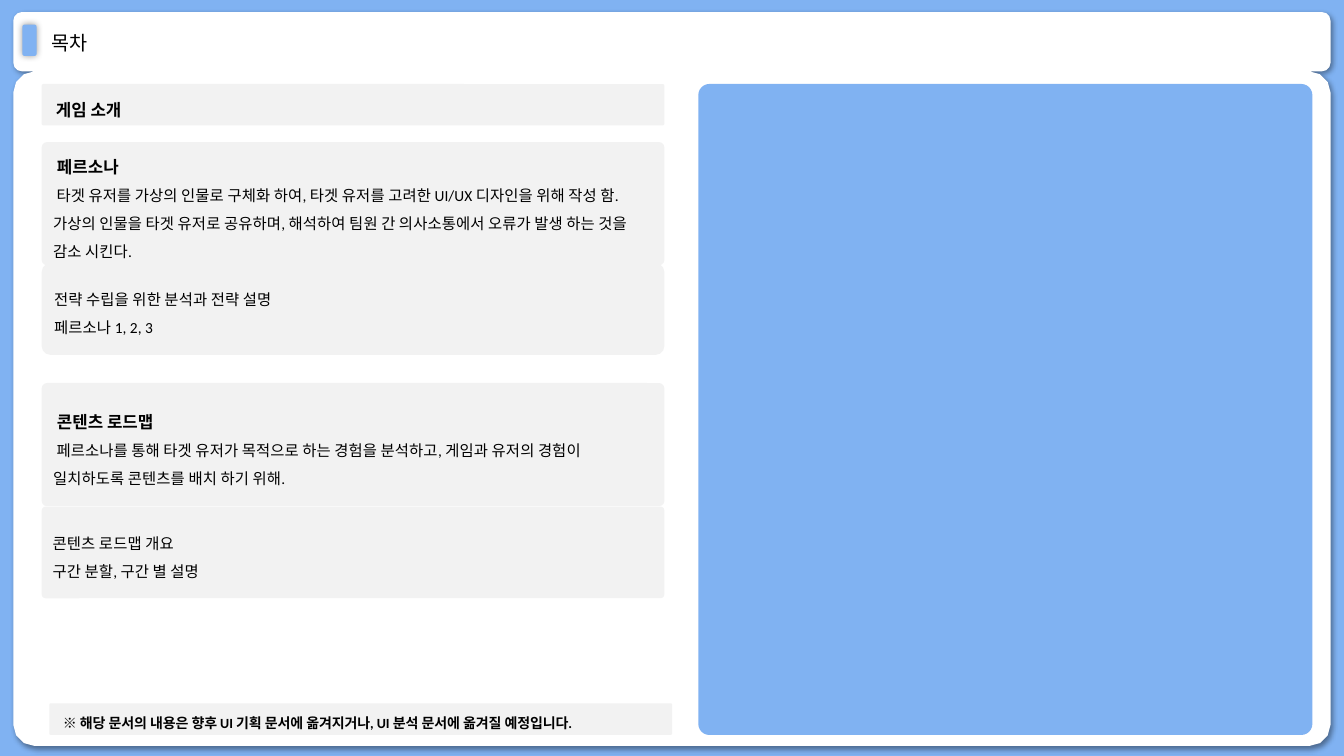
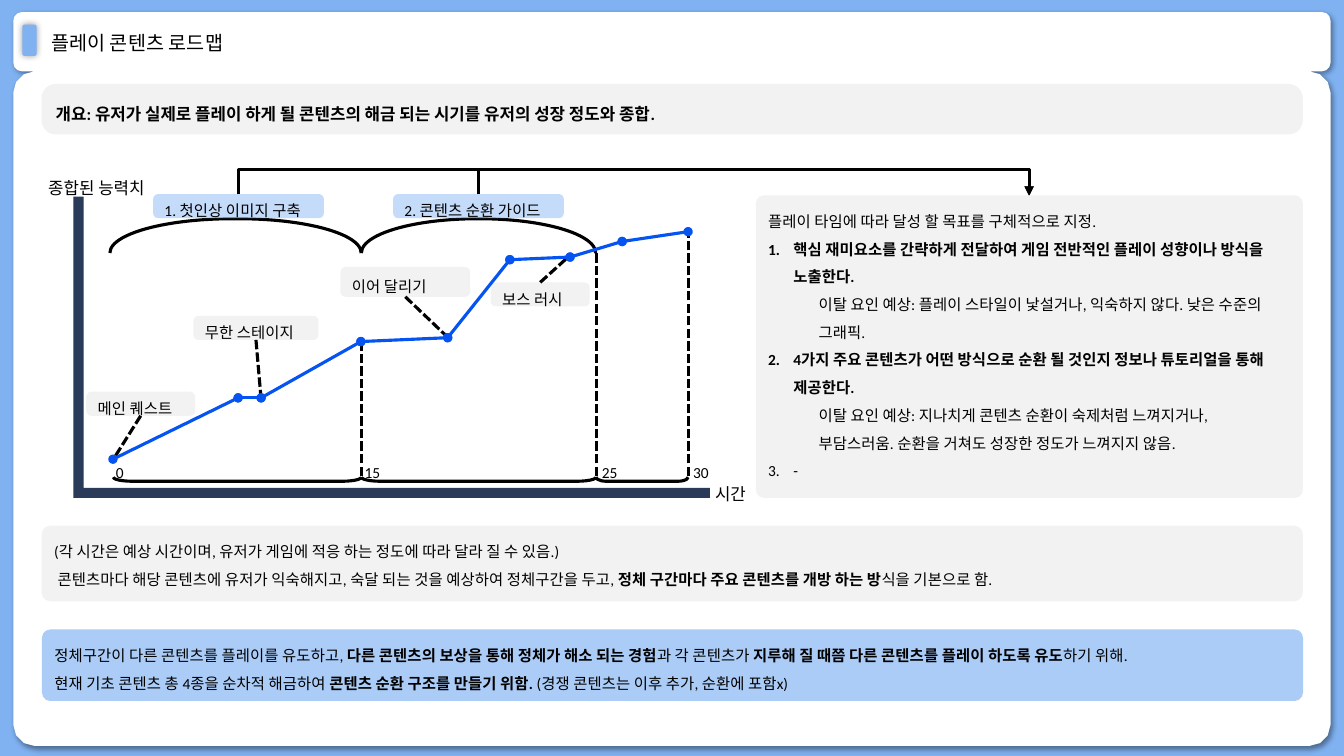
from dataclasses import dataclass
from itertools import pairwise
from math import cos, radians, sin
from typing import Optional

from lxml import etree
from pptx import Presentation
from pptx.dml.color import RGBColor
from pptx.enum.dml import MSO_LINE
from pptx.enum.lang import MSO_LANGUAGE_ID
from pptx.enum.shapes import MSO_CONNECTOR, MSO_SHAPE
from pptx.enum.text import MSO_ANCHOR, PP_ALIGN
from pptx.oxml.ns import qn
from pptx.util import Pt

BLUE = RGBColor(0x80, 0xB2, 0xF2)
PALE_BLUE = RGBColor(0xAB, 0xCC, 0xF7)
CURVE_BLUE = RGBColor(0x05, 0x54, 0xF2)
NAVY = RGBColor(0x2A, 0x3A, 0x59)
GRAY = RGBColor(0xF2, 0xF2, 0xF2)
WHITE = RGBColor(0xFF, 0xFF, 0xFF)
BLACK = RGBColor(0, 0, 0)
FONT = "Calibri"
LINE_WIDTH = 2.25

Box = tuple[float, float, float, float]
Point = tuple[float, float]


@dataclass(frozen=True)
class Para:
    text: str
    size: float = 11
    spacing: Optional[float] = 1.5
    align: PP_ALIGN = PP_ALIGN.LEFT
    numbered: bool = False
    level: int = 0


@dataclass(frozen=True)
class Panel:
    box: Box
    radius: float
    paras: tuple[Para, ...] = ()
    fill: RGBColor = GRAY
    anchor: MSO_ANCHOR = MSO_ANCHOR.MIDDLE
    alpha: Optional[int] = None


@dataclass(frozen=True)
class Callout:
    box: Box
    text: str
    side: int
    target: Point


@dataclass(frozen=True)
class Bracket:
    left: float
    right: float
    top: float
    depth: float
    rotation: int
    curve: float


def write(shape, paras: tuple[Para, ...], anchor: MSO_ANCHOR) -> None:
    tf = shape.text_frame
    tf.word_wrap = True
    tf.vertical_anchor = anchor
    for i, para in enumerate(paras):
        p = tf.add_paragraph() if i else tf.paragraphs[0]
        p.alignment = para.align
        p.level = para.level
        if para.spacing:
            p.line_spacing = para.spacing
        pPr = p._p.get_or_add_pPr()
        if para.level:
            pPr.set("marL", str(Pt(36)))
            pPr.set("marR", str(Pt(9)))
            pPr.set("indent", "0")
        if para.numbered:
            pPr.set("marL", str(Pt(18)))
            pPr.set("indent", str(-Pt(18)))
            etree.SubElement(pPr, qn("a:buAutoNum"), type="arabicPeriod")
        for j, part in enumerate(para.text.split("**")):
            if part:
                r = p.add_run()
                r.text = part
                r.font.name = FONT
                r.font.size = Pt(para.size)
                r.font.bold = j % 2 == 1
                r.font.color.rgb = BLACK
                r.font.language_id = MSO_LANGUAGE_ID.KOREAN
                for tag in ("a:ea", "a:cs"):
                    etree.SubElement(r._r.get_or_add_rPr(), qn(tag), typeface=FONT)


def paint(shape, fill: RGBColor) -> None:
    shape.shadow.inherit = False
    shape.fill.solid()
    shape.fill.fore_color.rgb = fill
    shape.line.fill.background()


def add_shadow(shape, blur: float, dist: float, angle: int) -> None:
    effects = shape._element.spPr.find(qn("a:effectLst"))
    outer = etree.SubElement(effects, qn("a:outerShdw"), blurRad=str(Pt(blur)),
                             dist=str(Pt(dist)), dir=str(angle * 60000), rotWithShape="0")
    color = etree.SubElement(outer, qn("a:srgbClr"), val=str(BLACK))
    etree.SubElement(color, qn("a:alpha"), val="40000")


def add_panel(s, panel: Panel):
    sp = s.shapes.add_shape(MSO_SHAPE.ROUNDED_RECTANGLE, *map(Pt, panel.box))
    sp.adjustments[0] = panel.radius / min(panel.box[2:])
    paint(sp, panel.fill)
    if panel.alpha:
        color = sp._element.spPr.find(qn("a:solidFill"))[0]
        etree.SubElement(color, qn("a:alpha"), val=str(panel.alpha * 1000))
    write(sp, panel.paras, panel.anchor)
    return sp


def add_text(s, box: Box, para: Para) -> None:
    write(s.shapes.add_textbox(*map(Pt, box)), (para,), MSO_ANCHOR.MIDDLE)


def add_outline(s, points: list[Point], fill: RGBColor):
    corners = [(Pt(x), Pt(y)) for x, y in points]
    builder = s.shapes.build_freeform(*corners[0], scale=1.0)
    builder.add_line_segments(corners[1:], close=True)
    sp = builder.convert_to_shape()
    paint(sp, fill)
    return sp


def add_line(s, start: Point, end: Point, color: RGBColor = BLACK, dashed: bool = False,
             head: str = "", tail: str = "", kind: MSO_CONNECTOR = MSO_CONNECTOR.STRAIGHT):
    cx = s.shapes.add_connector(kind, *map(Pt, (*start, *end)))
    cx.line.color.rgb = color
    cx.line.width = Pt(LINE_WIDTH)
    if dashed:
        cx.line.dash_style = MSO_LINE.SQUARE_DOT
    ln = cx.line._get_or_add_ln()
    for tag, mark in (("a:headEnd", head), ("a:tailEnd", tail)):
        if mark:
            etree.SubElement(ln, qn(tag), type=mark)
    etree.SubElement(cx._element.spPr, qn("a:effectLst"))
    return cx


def add_overhead_arrow(s, start: Point, end: Point, rise: float) -> None:
    cx = add_line(s, start, end, tail="triangle", kind=MSO_CONNECTOR.ELBOW)
    width, height = end[1] - start[1], end[0] - start[0]
    cx.left = Pt((start[0] + end[0] - width) / 2)
    cx.top = Pt((start[1] + end[1] - height) / 2)
    cx.width, cx.height = Pt(width), Pt(height)
    spPr = cx._element.spPr
    xfrm = spPr.find(qn("a:xfrm"))
    xfrm.set("rot", str(270 * 60000))
    xfrm.set("flipH", "1")
    guides = spPr.find(qn("a:prstGeom")).find(qn("a:avLst"))
    etree.SubElement(guides, qn("a:gd"), name="adj1", fmla=f"val {round(-rise / width * 100000)}")


def add_bracket(s, bracket: Bracket) -> None:
    span = bracket.right - bracket.left
    left = (bracket.left + bracket.right - bracket.depth) / 2
    top = bracket.top + (bracket.depth - span) / 2
    sp = s.shapes.add_shape(MSO_SHAPE.RIGHT_BRACKET, *map(Pt, (left, top, bracket.depth, span)))
    sp.rotation = bracket.rotation
    sp.adjustments[0] = bracket.curve / bracket.depth
    sp.shadow.inherit = False
    sp.fill.background()
    sp.line.color.rgb = BLACK
    sp.line.width = Pt(LINE_WIDTH)


def add_callout(s, callout: Callout) -> None:
    sp = add_panel(s, Panel(callout.box, 3.6, (Para(callout.text),)))
    left, top, width, height = callout.box
    start = (left + width / 2, top + (height if callout.side == 2 else 0))
    cx = add_line(s, start, callout.target, dashed=True)
    cx.begin_connect(sp, callout.side)


def arc(x: float, y: float, radius: float, start: int) -> list[Point]:
    angles = [radians(start + step) for step in range(0, 91, 30)]
    return [(x + radius * cos(a), y + radius * sin(a)) for a in angles]


def card_points() -> list[Point]:
    left, right, top, seam, bottom = 9.5, 950.4, 8.6, 51, 532.8
    r, body_r = 6.2, 15.1
    return [
        *arc(left + r, top + r, r, 180),
        *arc(right - r, top + r, r, 270),
        *arc(right - r, seam - r, r, 0),
        *arc(right - body_r, seam + body_r, body_r, 270),
        *arc(right - body_r, bottom - body_r, body_r, 0),
        *arc(left + body_r, bottom - body_r, body_r, 90),
        *arc(left + body_r, seam + body_r, body_r, 180),
        *arc(left + r, seam - r, r, 90),
    ]


def new_slide(prs, title: str):
    s = prs.slides.add_slide(prs.slide_layouts[6])
    s.background.fill.solid()
    s.background.fill.fore_color.rgb = BLUE
    add_shadow(add_outline(s, card_points(), WHITE), 4, 3, 45)
    add_shadow(add_panel(s, Panel((16, 17.6, 10.2, 22.4), 1.7, fill=BLUE)), 5, 0, 0)
    add_text(s, (29.5, 8.6, 828, 45.4), Para(title, 14, 0.9))
    return s


def contents_slide(prs) -> None:
    s = new_slide(prs, "목차")
    left, width = 29.8, 444.8
    panels = (
        Panel((left, 101.5, width, 88), 3.9, (
            Para("** 페르소나**", 12),
            Para(" 타겟 유저를 가상의 인물로 구체화 하여, 타겟 유저를 고려한 UI/UX 디자인을 위해 작성 함."),
            Para("가상의 인물을 타겟 유저로 공유하며, 해석하여 팀원 간 의사소통에서 오류가 발생 하는 것을 감소 시킨다."))),
        Panel((left, 273.6, width, 88), 3.9, (
            Para("** 콘텐츠 로드맵**", 12),
            Para(" 페르소나를 통해 타겟 유저가 목적으로 하는 경험을 분석하고, 게임과 유저의 경험이 일치하도록 콘텐츠를 배치 하기 위해."))),
        Panel((35.3, 502.4, width, 22.5), 1, (
            Para("** ※ 해당 문서의 내용은 향후 UI 기획 문서에 옮겨지거나, UI 분석 문서에 옮겨질 예정입니다.**", 10),)),
        Panel((498.8, 60, 438.6, 465), 7.9, fill=BLUE),
        Panel((left, 188, width, 65.5), 6.4, (
            Para("전략 수립을 위한 분석과 전략 설명"), Para("페르소나 1, 2, 3"))),
        Panel((left, 361.8, width, 65.5), 2.9, (
            Para("콘텐츠 로드맵 개요"), Para("구간 분할, 구간 별 설명"))),
        Panel((left, 60, width, 29.5), 1.3, (Para("** 게임 소개**", 12),)),
    )
    for panel in panels:
        add_panel(s, panel)


def growth_graph(s) -> None:
    add_outline(s, [(52.4, 140.4), (59.8, 140.4), (59.8, 348.5), (507, 348.5),
                    (507, 355.7), (52.4, 355.7)], NAVY)
    add_text(s, (497.8, 343.4, 48, 18), Para("시간", 12, None, PP_ALIGN.CENTER))
    add_text(s, (22.1, 125.6, 93.6, 17.3), Para("종합된 능력치", 12, None, PP_ALIGN.CENTER))
    for bracket in (Bracket(78.5, 258.1, 156.2, 24.5, 270, 88),
                    Bracket(258.1, 425.5, 156.2, 24.5, 270, 83.5),
                    Bracket(80.9, 258.1, 340.9, 2.9, 90, 13.8),
                    Bracket(258.1, 425.7, 340.9, 2.9, 90, 13.8),
                    Bracket(425.7, 491.5, 340.9, 2.9, 90, 7.5)):
        add_bracket(s, bracket)
    for callout in (Callout((138.2, 225.6, 89.3, 17.2), "무한 스테이지", 2, (186.5, 285)),
                    Callout((350.6, 201.7, 70.6, 17.2), "보스 러시", 0, (406.5, 183)),
                    Callout((61.6, 279.8, 77.8, 17.2), "메인 퀘스트", 2, (81, 328)),
                    Callout((243.2, 190.7, 92.6, 21.3), "이어 달리기", 2, (322, 243))):
        add_callout(s, callout)
    for x, label in ((75.8, "0"), (253.4, "15"), (422.8, "25"), (488, "30")):
        add_text(s, (x, 328.3, 45, 12.2), Para(label))
    for x, label in ((109.4, "1. 첫인상 이미지 구축"), (280.8, "2. 콘텐츠 순환 가이드")):
        add_panel(s, Panel((x, 138.6, 122, 17.2), 3.6, (Para(label),), PALE_BLUE, alpha=70))
    for x, top in ((258, 243), (425.8, 178), (491.5, 165.5)):
        add_line(s, (x, 340), (x, top), dashed=True)
    curve = ((80.7, 328), (170.1, 284.2), (186.5, 284.2), (257.8, 244), (319.8, 241.2),
             (364.2, 185.5), (407.2, 183.6), (444.4, 172.5), (491.5, 165.5))
    for start, end in pairwise(curve):
        add_line(s, start, end, CURVE_BLUE, head="oval", tail="oval")
    for x in (170.1, 341.8):
        add_overhead_arrow(s, (x, 138.8), (735.1, 139.8), 18)


def roadmap_slide(prs) -> None:
    s = new_slide(prs, "플레이 콘텐츠 로드맵")
    left, width = 29.8, 900.8
    add_panel(s, Panel((left, 60, width, 36), 10, (
        Para("**개요: 유저가 실제로 플레이 하게 될 콘텐츠의 해금 되는 시기를 유저의 성장 정도와 종합.**", 12),)))
    growth_graph(s)
    top = MSO_ANCHOR.TOP
    add_panel(s, Panel((540, 139.6, 390.6, 216), 5.6, (
        Para("플레이 타임에 따라 달성 할 목표를 구체적으로 지정."),
        Para("**핵심 재미요소를 간략하게 전달하여 게임 전반적인 플레이 성향이나 방식을 노출한다.**", numbered=True),
        Para("이탈 요인 예상: 플레이 스타일이 낯설거나, 익숙하지 않다. 낮은 수준의 그래픽.", level=1),
        Para("**4가지 주요 콘텐츠가 어떤 방식으로 순환 될 것인지 정보나 튜토리얼을 통해 제공한다.**", numbered=True),
        Para("이탈 요인 예상: 지나치게 콘텐츠 순환이 숙제처럼 느껴지거나, 부담스러움. 순환을 거쳐도 성장한 정도가 느껴지지 않음.", level=1),
        Para("-", numbered=True)), anchor=top))
    add_panel(s, Panel((left, 375.5, width, 54), 6.2, (
        Para("(각 시간은 예상 시간이며, 유저가 게임에 적응 하는 정도에 따라 달라 질 수 있음.)"),
        Para(" 콘텐츠마다 해당 콘텐츠에 유저가 익숙해지고, 숙달 되는 것을 예상하여 정체구간을 두고, "
             "**정체 구간마다 주요 콘텐츠를 개방 하는 방**식을 기본으로 함.")), anchor=top))
    add_panel(s, Panel((30, 449.6, width, 51.1), 6, (
        Para("정체구간이 다른 콘텐츠를 플레이를 유도하고, **다른 콘텐츠의 보상을 통해 정체가 해소 되는 경험**"
             "과 각 콘텐츠가 **지루해 질 때쯤 다른 콘텐츠를 플레이 하도록 유도**하기 위해."),
        Para("현재 기초 콘텐츠 총 4종을 순차적 해금하여 **콘텐츠 순환 구조를 만들기 위함.**"
             " (경쟁 콘텐츠는 이후 추가, 순환에 포함x)")), PALE_BLUE, top))


def main() -> None:
    prs = Presentation()
    prs.slide_width, prs.slide_height = Pt(960), Pt(540)
    contents_slide(prs)
    roadmap_slide(prs)
    prs.save("out.pptx")


if __name__ == "__main__":
    main()
